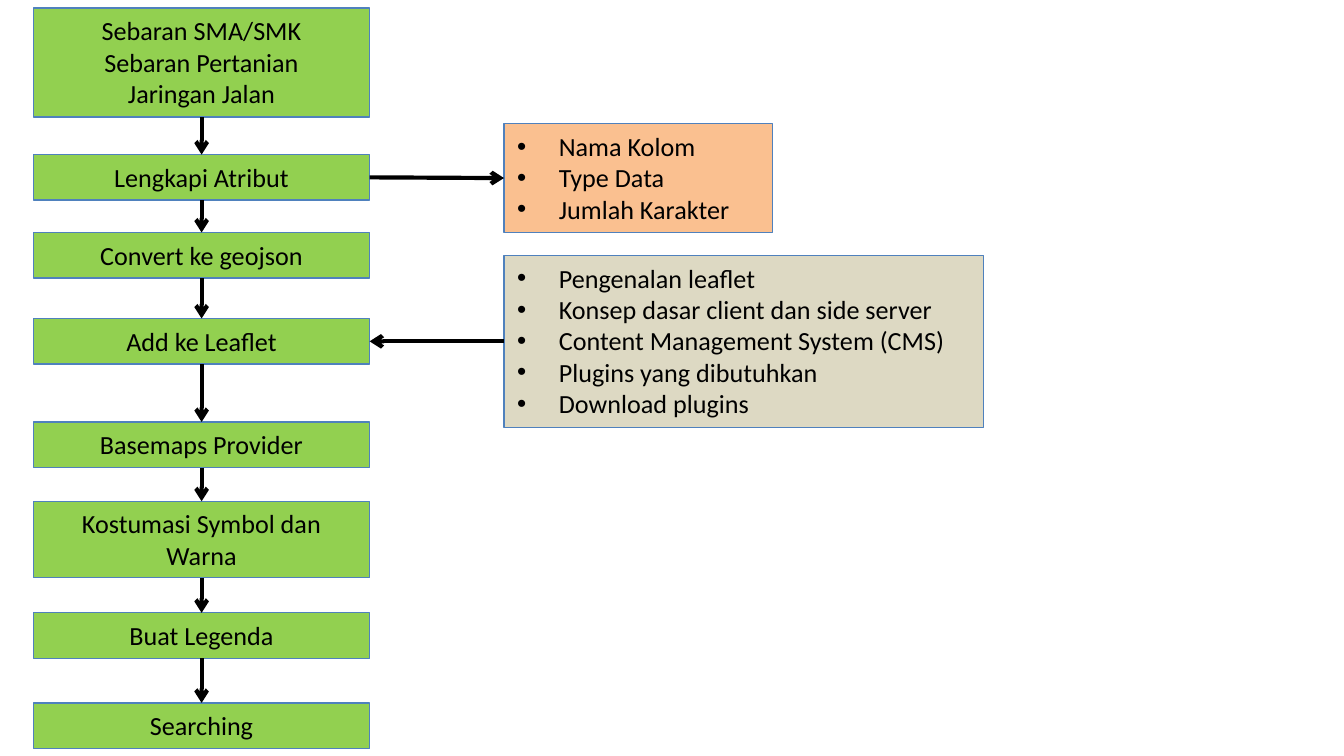
import lxml.etree
import pptx
import pptx.dml.color
import pptx.enum.shapes
import pptx.enum.text
import pptx.oxml.ns
import pptx.util

Inches = pptx.util.Inches
COLORS = {"step": "92D050", "attributes": "FAC090", "leaflet": "DDD9C3",
          "outline": "4F81BD", "ink": "000000"}
HEIGHT_BY_LINES = {1: 0.34, 2: 0.57, 3: 0.81, 5: 1.28}
TOP, LEFT, BOTTOM, RIGHT = range(4)  # connection sites of a rectangle


def color(name):
    return pptx.dml.color.RGBColor.from_string(COLORS[name])


def add_child(parent, tag, **attributes):
    return lxml.etree.SubElement(parent, pptx.oxml.ns.qn(tag), attributes)


def add_box(page, left, top, width, lines, fill, bulleted=False, line_count=None):
    """Outlined box with one paragraph per line, centred or bulleted."""
    height = HEIGHT_BY_LINES[line_count or len(lines)]
    box = page.shapes.add_shape(
        pptx.enum.shapes.MSO_SHAPE.RECTANGLE,
        Inches(left), Inches(top), Inches(width), Inches(height))
    box.shadow.inherit = False
    box.fill.solid()
    box.fill.fore_color.rgb = color(fill)
    box.line.color.rgb = color("outline")
    box.line.width = pptx.util.Pt(0.75)
    frame = box.text_frame
    frame.word_wrap = True
    frame.auto_size = pptx.enum.text.MSO_AUTO_SIZE.SHAPE_TO_FIT_TEXT
    frame.vertical_anchor = pptx.enum.text.MSO_ANCHOR.TOP
    align = pptx.enum.text.PP_ALIGN
    for index, line in enumerate(lines):
        para = frame.add_paragraph() if index else frame.paragraphs[0]
        para.text = line
        para.alignment = align.LEFT if bulleted else align.CENTER
        para.font.name = "Calibri"
        para.font.size = pptx.util.Pt(14)
        para.font.color.rgb = color("ink")
        if bulleted:
            properties = para._p.get_or_add_pPr()
            properties.set("marL", str(Inches(0.31)))
            properties.set("indent", str(Inches(-0.31)))
            bullet_font = add_child(properties, "a:buFont", typeface="Arial")
            bullet = add_child(properties, "a:buChar", char="•")
            # Bullets come ahead of the default run properties
            properties.insert(0, bullet)
            properties.insert(0, bullet_font)
    return box


def add_arrow(page, start, start_site, end, end_site):
    """Arrow glued to one side of each of two boxes."""
    arrow = page.shapes.add_connector(
        pptx.enum.shapes.MSO_CONNECTOR.STRAIGHT, 0, 0, 0, 0)
    arrow.begin_connect(start, start_site)
    arrow.end_connect(end, end_site)
    arrow.line.color.rgb = color("ink")
    arrow.line.width = pptx.util.Pt(2.25)
    add_child(arrow.line._get_or_add_ln(), "a:tailEnd", type="arrow")
    add_child(arrow._element.spPr, "a:effectLst")


def add_flow(page, left, width, steps):
    """Column of steps, each joined to the next by an arrow."""
    boxes = [add_box(page, left, top, width, lines, "step", line_count=count)
             for top, count, lines in steps]
    for upper, lower in zip(boxes, boxes[1:]):
        add_arrow(page, upper, BOTTOM, lower, TOP)
    return boxes


# Widescreen page, 16:9
deck = pptx.Presentation()
deck.slide_width = Inches(10)
deck.slide_height = Inches(10 * 9 / 16)
page = deck.slides.add_slide(deck.slide_layouts[6])

# Main flow: top, number of lines, text
steps = add_flow(page, 0.25, 2.5, [
    (0.06, 3, ["Sebaran SMA/SMK", "Sebaran Pertanian", "Jaringan Jalan"]),
    (1.15, 1, ["Lengkapi Atribut"]),
    (1.73, 1, ["Convert ke geojson"]),
    (2.37, 1, ["Add ke Leaflet"]),
    (3.14, 1, ["Basemaps Provider"]),
    (3.73, 2, ["Kostumasi Symbol dan Warna"]),
    (4.56, 1, ["Buat Legenda"]),
    (5.23, 1, ["Searching"]),
])

# Side notes
attribute_note = add_box(
    page, 3.75, 0.92, 2, ["Nama Kolom", "Type Data", "Jumlah Karakter"],
    "attributes", bulleted=True)
leaflet_note = add_box(
    page, 3.75, 1.9, 3.57,
    ["Pengenalan leaflet", "Konsep dasar client dan side server",
     "Content Management System (CMS)", "Plugins yang dibutuhkan",
     "Download plugins"],
    "leaflet", bulleted=True)
add_arrow(page, steps[1], RIGHT, attribute_note, LEFT)
add_arrow(page, leaflet_note, LEFT, steps[3], RIGHT)

deck.save("out.pptx")
